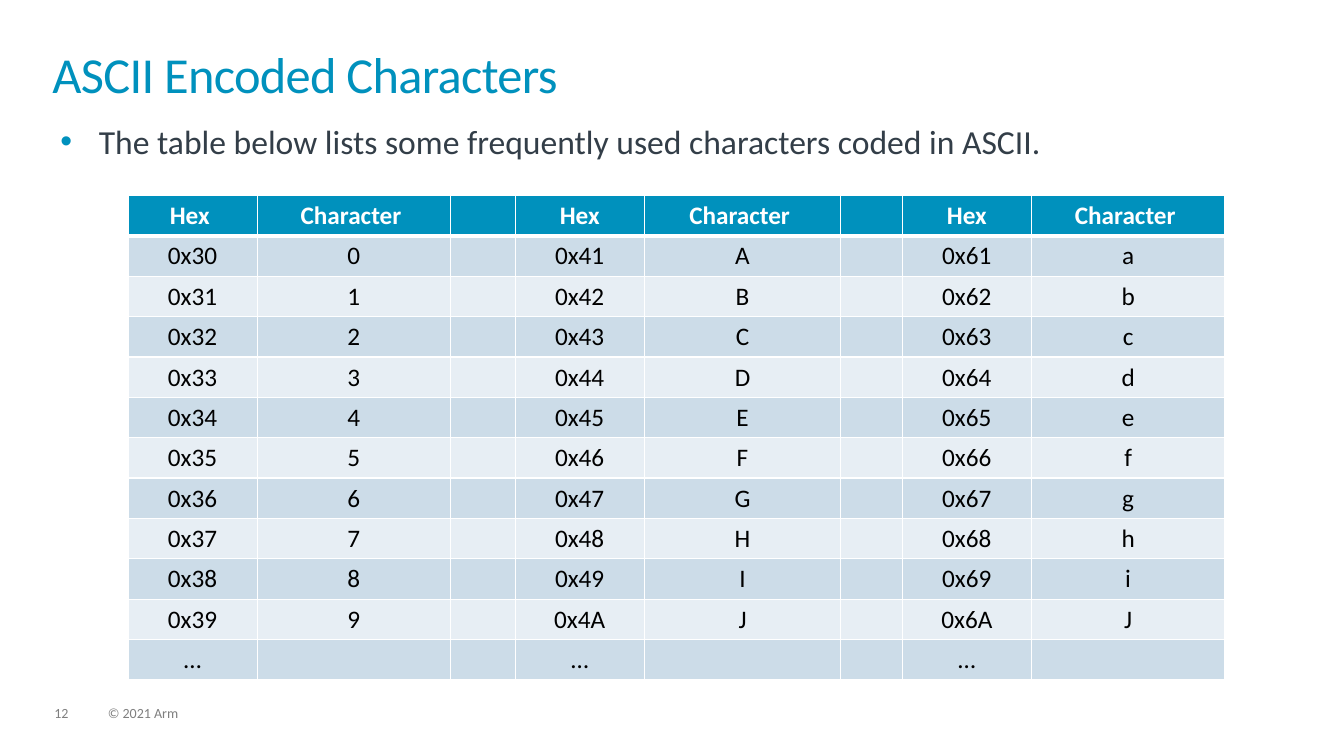
from dataclasses import dataclass
from typing import Any

from pptx import Presentation
from pptx.dml.color import RGBColor
from pptx.enum.text import MSO_ANCHOR, MSO_AUTO_SIZE as AutoSize, PP_ALIGN
from pptx.oxml import parse_xml
from pptx.oxml.ns import nsdecls
from pptx.util import Inches, Pt

FONT = "Calibri"
BLUE, SLATE, GREY, BLACK, WHITE = "0091BD", "333E48", "7F7F7F", "000000", "FFFFFF"
BANDS = ("CCDCE8", "E7EEF4")
COLUMN_WIDTHS = (1.28, 1.92, 0.64, 1.28, 1.95, 0.61, 1.28, 1.92)
ROW_HEIGHT = 0.4


@dataclass(frozen=True)
class CodeBlock:
    hex_heading: str
    first_code: int
    characters: str

    def rows(self) -> list[tuple[str, str]]:
        codes = [(f"0x{self.first_code + step:X}", character)
                 for step, character in enumerate(self.characters)]
        return [(self.hex_heading, "Character "), *codes, ("…", "")]


@dataclass(frozen=True)
class FooterText:
    text: str
    left: float
    width: float


CODE_BLOCKS = (
    CodeBlock("Hex ", 0x30, "0123456789"),
    CodeBlock("Hex", 0x41, "ABCDEFGHIJ"),
    CodeBlock("Hex", 0x61, "abcdefghiJ"),
)
FOOTER = (FooterText("12", 0.54, 0.34), FooterText("© 2021 Arm", 1.07, 5.07))


def color(hex_value: str) -> RGBColor:
    return RGBColor.from_string(hex_value)


def apply(target: Any, values: dict[str, Any]) -> None:
    for attribute, value in values.items():
        setattr(target, attribute, value)


def write(paragraph: Any, text: str, size: float, ink: str, bold: bool = False) -> Any:
    run = paragraph.add_run()
    run.text = text
    apply(run.font, {"name": FONT, "size": Pt(size), "bold": bold})
    run.font.color.rgb = color(ink)
    return run


def prepare(shape: Any, left: float, top: float, width: float, height: float,
            auto_size: AutoSize = AutoSize.NONE) -> Any:
    """Place a text shape without margins and return its first paragraph."""
    apply(shape, {"left": Inches(left), "top": Inches(top),
                  "width": Inches(width), "height": Inches(height)})
    apply(shape.text_frame, {
        "margin_left": 0, "margin_right": 0, "margin_top": 0, "margin_bottom": 0,
        "word_wrap": True, "vertical_anchor": MSO_ANCHOR.TOP, "auto_size": auto_size})
    return shape.text_frame.paragraphs[0]


def add_title(slide: Any) -> None:
    heading = prepare(slide.shapes.title, 0.52, 0.52, 12.28, 0.72)
    apply(heading, {"alignment": PP_ALIGN.LEFT, "line_spacing": 0.85})
    run = write(heading, "ASCII Encoded Characters", 36, BLUE)
    run.font._element.set("spc", "-50")


def add_intro(slide: Any) -> None:
    intro = prepare(slide.placeholders[1], 0.6, 1.2, 12.23, 0.74)
    properties = intro._p.get_or_add_pPr()
    properties.set("marL", str(Inches(0.38)))
    properties.set("indent", str(-Inches(0.38)))
    for bullet in (f'<a:buClr {nsdecls("a")}><a:srgbClr val="{BLUE}"/></a:buClr>',
                   f'<a:buFont {nsdecls("a")} typeface="Arial"/>',
                   f'<a:buChar {nsdecls("a")} char="•"/>'):
        properties.append(parse_xml(bullet))
    intro.space_before = Pt(0)
    write(intro, "The table below lists some frequently used characters coded in ASCII.",
          24, SLATE)


def add_borders(cell: Any, top: float, bottom: float) -> None:
    properties = cell._tc.get_or_add_tcPr()
    for side, points in (("L", 1), ("R", 1), ("T", top), ("B", bottom)):
        properties.append(parse_xml(
            f'<a:ln{side} {nsdecls("a")} w="{Pt(points)}"><a:solidFill>'
            f'<a:srgbClr val="{WHITE}"/></a:solidFill></a:ln{side}>'))


def add_code_table(slide: Any) -> None:
    left_block, middle_block, right_block = (block.rows() for block in CODE_BLOCKS)
    rows = [(*first, "", *second, "", *third)
            for first, second, third in zip(left_block, middle_block, right_block)]
    table = slide.shapes.add_table(
        len(rows), len(COLUMN_WIDTHS), Inches(1.27), Inches(1.94),
        Inches(sum(COLUMN_WIDTHS)), Inches(ROW_HEIGHT * len(rows))).table
    for column, width in zip(table.columns, COLUMN_WIDTHS):
        column.width = Inches(width)
    for row_index, texts in enumerate(rows):
        table.rows[row_index].height = Inches(ROW_HEIGHT)
        is_header = row_index == 0
        for column_index, text in enumerate(texts):
            cell = table.cell(row_index, column_index)
            apply(cell, {"margin_left": Inches(0.13), "margin_right": Inches(0.13),
                         "margin_top": Inches(0.05), "margin_bottom": Inches(0.05)})
            add_borders(cell, top=3 if row_index == 1 else 1, bottom=3 if is_header else 1)
            cell.fill.solid()
            cell.fill.fore_color.rgb = color(BLUE if is_header else BANDS[(row_index - 1) % 2])
            if text:
                paragraph = cell.text_frame.paragraphs[0]
                paragraph.alignment = PP_ALIGN.CENTER
                write(paragraph, text, 18, WHITE if is_header else BLACK, is_header)


def add_footer(slide: Any) -> None:
    for item in FOOTER:
        box = slide.shapes.add_textbox(0, 0, 0, 0)
        line = prepare(box, item.left, 7.01, item.width, 0.15, AutoSize.SHAPE_TO_FIT_TEXT)
        apply(line, {"line_spacing": 0.9, "space_after": Pt(6)})
        write(line, item.text, 10, GREY)


def main() -> None:
    presentation = Presentation()
    apply(presentation, {"slide_width": Inches(13.33), "slide_height": Inches(7.5)})
    slide = presentation.slides.add_slide(presentation.slide_layouts[1])
    add_footer(slide)
    add_title(slide)
    add_intro(slide)
    add_code_table(slide)
    presentation.save("out.pptx")


if __name__ == "__main__":
    main()
